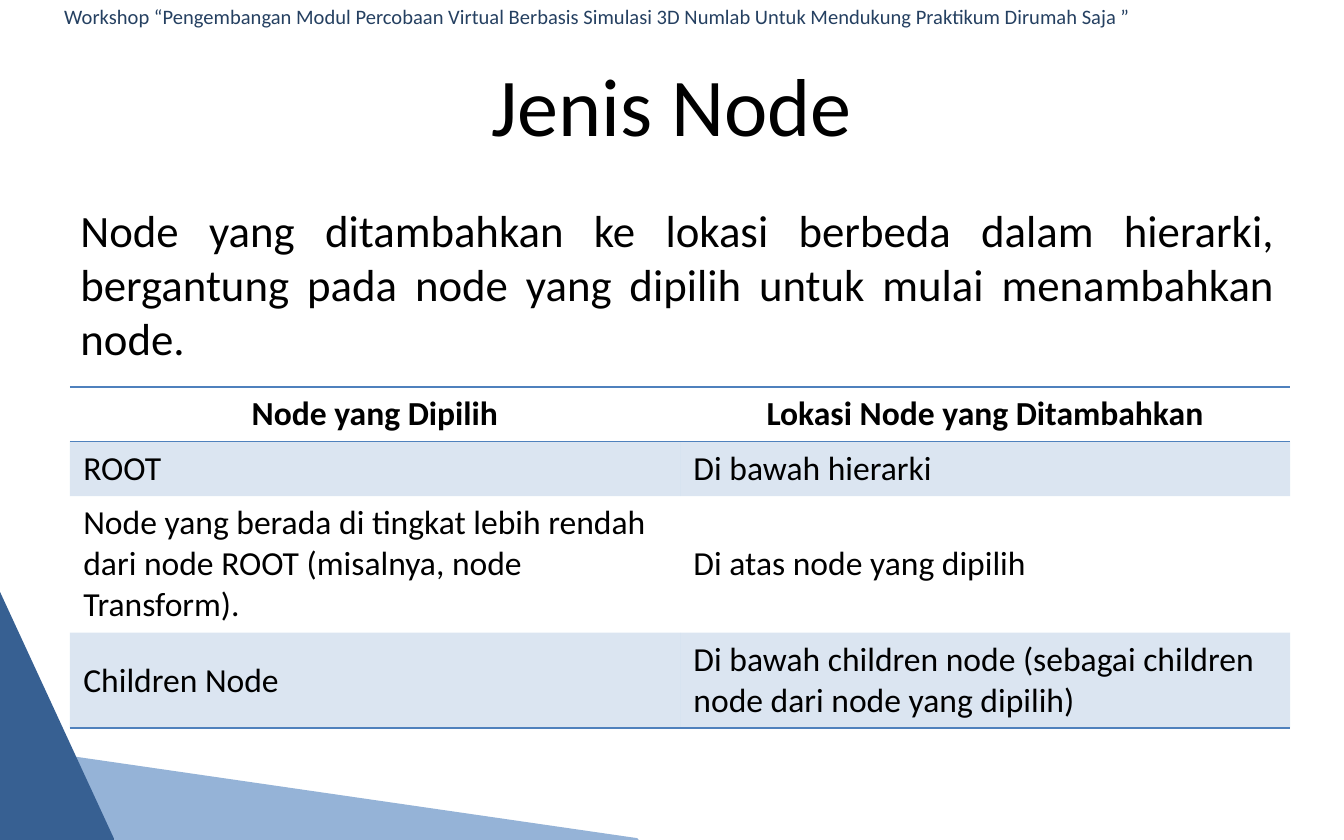
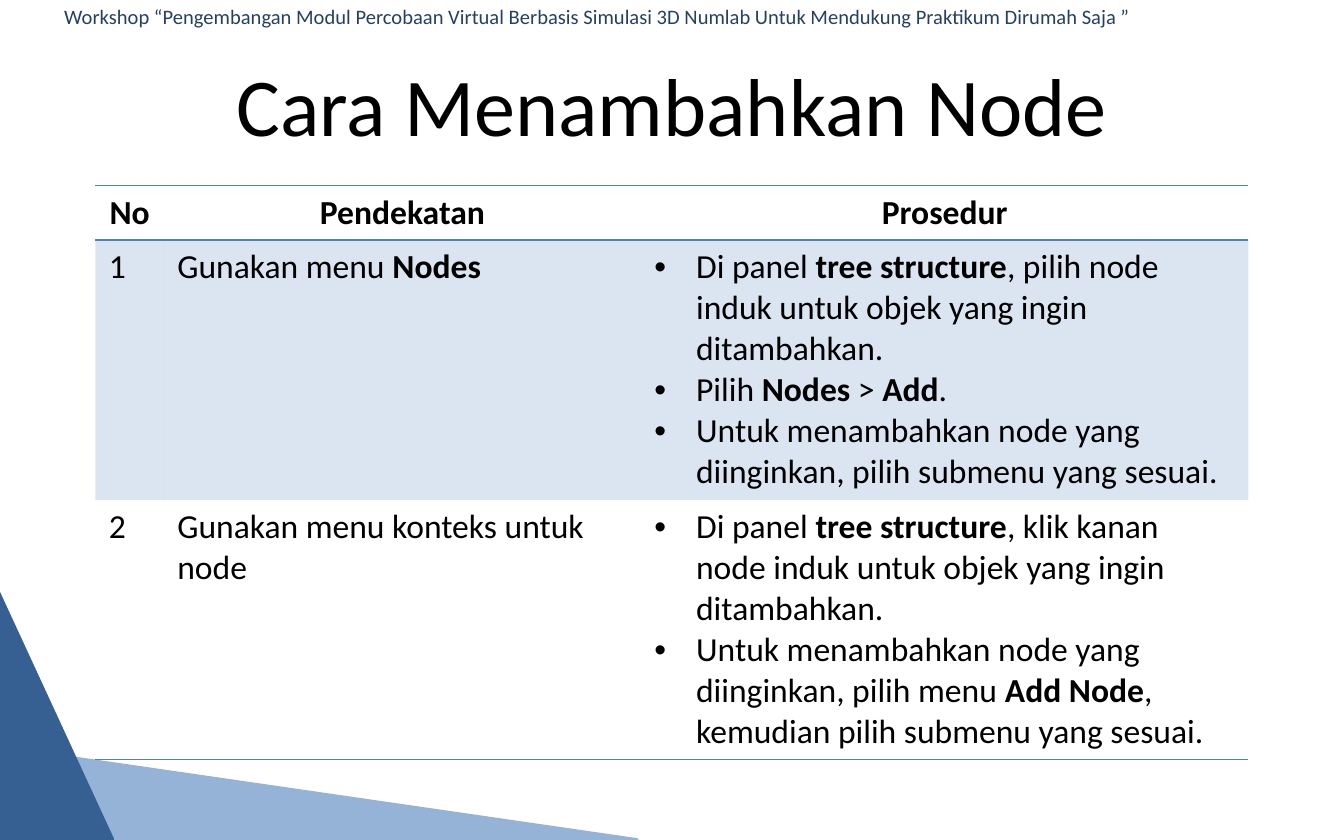
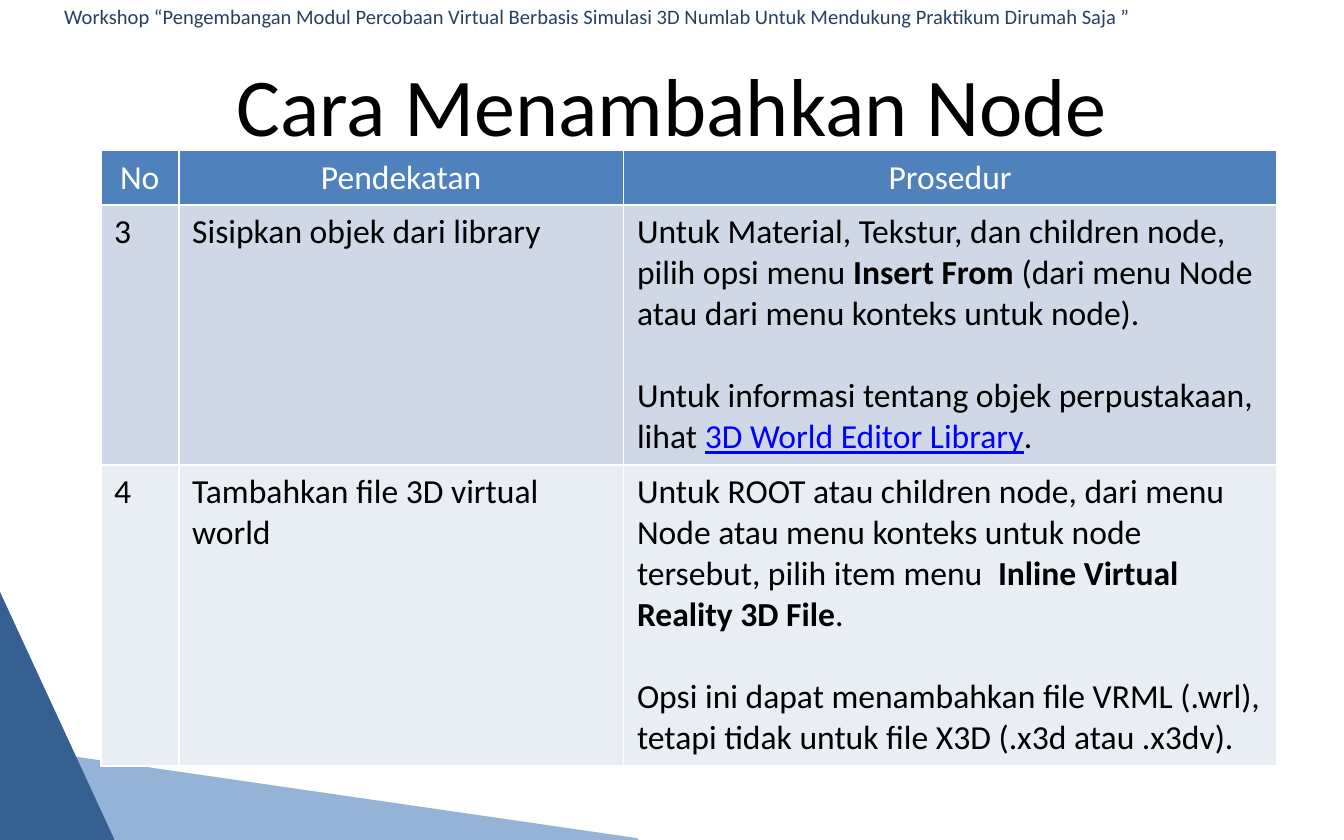
from dataclasses import dataclass, field

from lxml import etree
from pptx import Presentation
from pptx import util as u
from pptx.dml.color import RGBColor
from pptx.enum import shapes, text
from pptx.oxml import ns

GRID = u.Inches(0.25)
COLUMNS, ROWS = 40, 25
FONT = "Calibri"
BLACK = RGBColor(0x00, 0x00, 0x00)
WHITE = RGBColor(0xFF, 0xFF, 0xFF)
NAVY = RGBColor(0x25, 0x40, 0x61)
DARK_BLUE = RGBColor(0x37, 0x60, 0x92)
LIGHT_BLUE = RGBColor(0x95, 0xB3, 0xD7)
ACCENT = RGBColor(0x4F, 0x81, 0xBD)
BAND_DARK = RGBColor(0xD0, 0xD8, 0xE8)
BAND_LIGHT = RGBColor(0xE9, 0xED, 0xF4)
LINK_BLUE = RGBColor(0x00, 0x00, 0xFF)

LEFT, CENTER, JUSTIFY = (
    text.PP_ALIGN.LEFT, text.PP_ALIGN.CENTER, text.PP_ALIGN.JUSTIFY)
TOP, MIDDLE = text.MSO_ANCHOR.TOP, text.MSO_ANCHOR.MIDDLE
BOLD = {"bold": True}
LINK = {"underline": True, "color": LINK_BLUE}
NO_TABLE_STYLE = "{2D5ABB26-0587-4C30-8999-92F81FD0307C}"
TABLE_SIZE = 18
LINE_HEIGHT = u.Pt(22)
CELL_PADDING = u.Inches(0.1)
WORKSHOP = ("Workshop “Pengembangan Modul Percobaan Virtual Berbasis Simulasi "
            "3D Numlab Untuk Mendukung Praktikum Dirumah Saja ”")
APPROACH_HEADER = ["No", "Pendekatan", "Prosedur"]


@dataclass
class Paragraph:
    """Hold runs, each plain text or a (text, format) pair, and a layout."""
    runs: list
    bullet: bool = False
    layout: dict = field(default_factory=dict)


def bullet(*runs):
    """Return a bulleted paragraph."""
    return Paragraph(list(runs), bullet=True)


def spaced(*runs):
    """Return a paragraph followed by a gap of one line."""
    return Paragraph(list(runs), layout={"space_after": LINE_HEIGHT})


def cells(*lengths):
    """Turn grid cells into slide lengths."""
    return [round(length * GRID) for length in lengths]


def format_font(font, **values):
    """Set font attributes, and the colour where one is given."""
    for name, value in values.items():
        if name == "color":
            font.color.rgb = value
        else:
            setattr(font, name, value)


def add_bullet(paragraph):
    """Give a paragraph a round bullet and a hanging indent."""
    properties = paragraph._p.get_or_add_pPr()
    indent = u.Inches(0.31)
    properties.set("marL", str(indent))
    properties.set("indent", str(-indent))
    etree.SubElement(properties, ns.qn("a:buFont"), typeface="Arial")
    etree.SubElement(properties, ns.qn("a:buChar"), char="•")


def write(frame, content, alignment=LEFT, **font_format):
    """Fill a text frame with one string or a list of paragraphs."""
    content = content if isinstance(content, list) else [content]
    for index, item in enumerate(content):
        item = Paragraph([item]) if isinstance(item, str) else item
        paragraph = frame.add_paragraph() if index else frame.paragraphs[0]
        paragraph.alignment = alignment
        for name, value in item.layout.items():
            setattr(paragraph, name, value)
        if item.bullet:
            add_bullet(paragraph)
        for piece in item.runs:
            words, look = (piece, {}) if isinstance(piece, str) else piece
            run = paragraph.add_run()
            run.text = words
            format_font(run.font, **{"name": FONT, **font_format, **look})


def add_text(slide, place, content, size, color=BLACK, alignment=LEFT, anchor=TOP):
    """Add a wrapping text box."""
    frame = slide.shapes.add_textbox(*cells(*place)).text_frame
    frame.word_wrap = True
    frame.vertical_anchor = anchor
    write(frame, content, alignment, size=u.Pt(size), color=color)


def add_triangle(slide, place, apex, color, rotation=0):
    """Add a corner triangle with its apex at a share of its width."""
    shape = slide.shapes.add_shape(
        shapes.MSO_SHAPE.ISOSCELES_TRIANGLE, *cells(*place))
    shape.adjustments[0] = apex
    shape.rotation = rotation
    shape.shadow.inherit = False
    shape.fill.solid()
    shape.fill.fore_color.rgb = color
    shape.line.color.rgb = color
    shape.line.width = u.Pt(2)


def add_slide(presentation, title):
    """Add a slide with the corner triangles, workshop line and title."""
    slide = presentation.slides.add_slide(presentation.slide_layouts[6])
    add_triangle(slide, (-0.08, 22.24, 19.04, 2.76), 0, LIGHT_BLUE)
    add_triangle(slide, (-2.04, 19.6, 7.36, 3.4), 1, DARK_BLUE, rotation=90)
    add_text(slide, (1.52, -0.08, 34.92, 1.16), WORKSHOP, 11, NAVY)
    add_text(slide, (2, 1, 36, 4.16), title, 44, alignment=CENTER, anchor=MIDDLE)
    return slide


def add_borders(cell, sides, color):
    """Draw one-point borders on the given sides of a cell."""
    properties = cell._tc.get_or_add_tcPr()
    for side in sides:
        line = etree.SubElement(
            properties, ns.qn(f"a:ln{side}"), w=str(u.Pt(1)))
        fill = etree.SubElement(line, ns.qn("a:solidFill"))
        etree.SubElement(fill, ns.qn("a:srgbClr"), val=str(color))


def fill_cell(cell, color, opacity=100):
    """Fill a cell, or leave it clear when there is no colour."""
    if color is None:
        cell.fill.background()
        return
    cell.fill.solid()
    cell.fill.fore_color.rgb = color
    if opacity < 100:
        tint = cell._tc.tcPr.find(ns.qn("a:solidFill")).find(ns.qn("a:srgbClr"))
        etree.SubElement(tint, ns.qn("a:alpha"), val=str(opacity * 1000))


def style_ruled(cell, row, last_row):
    """Rule the header and table end, and tint every other row."""
    sides = "TB" if row == 0 else "B" if row == last_row else ""
    add_borders(cell, sides, ACCENT)
    fill_cell(cell, ACCENT if row % 2 else None, opacity=20)
    return {"bold": row == 0, "color": BLACK}


def style_grid(cell, row, last_row):
    """Give a cell white borders and a solid header or band colour."""
    add_borders(cell, "LRTB", WHITE)
    fill_cell(cell, (BAND_DARK if row % 2 else BAND_LIGHT) if row else ACCENT)
    return {"color": BLACK if row else WHITE}


def add_table(slide, corner, widths, line_counts, rows, style, anchor=TOP):
    """Add a table whose row heights follow from their lines of text."""
    heights = [count * LINE_HEIGHT + CELL_PADDING for count in line_counts]
    frame = slide.shapes.add_table(
        len(rows), len(widths), *cells(*corner, sum(widths)), sum(heights))
    table = frame.table
    table.first_row = table.horz_banding = False
    table._tbl.tblPr.find(ns.qn("a:tableStyleId")).text = NO_TABLE_STYLE
    for column, width in zip(table.columns, cells(*widths)):
        column.width = width
    for index, (contents, height) in enumerate(zip(rows, heights)):
        table.rows[index].height = height
        for cell, content in zip(table.rows[index].cells, contents):
            cell.vertical_anchor = anchor
            look = style(cell, index, len(rows) - 1)
            write(cell.text_frame, content, LEFT if index else CENTER,
                  size=u.Pt(TABLE_SIZE), **look)


def add_node_types(presentation):
    """Add the slide on where each kind of node is placed."""
    slide = add_slide(presentation, "Jenis Node")
    add_text(slide, (2, 5.84, 36.32, 5),
             "Node yang ditambahkan ke lokasi berbeda dalam hierarki, bergantung "
             "pada node yang dipilih untuk mulai menambahkan node.",
             24, alignment=JUSTIFY)
    add_table(slide, (2.08, 11.52), [18.16] * 2, [1, 1, 3, 2], [
        ["Node yang Dipilih", "Lokasi Node yang Ditambahkan"],
        ["ROOT", "Di bawah hierarki"],
        ["Node yang berada di tingkat lebih rendah dari node ROOT "
         "(misalnya, node Transform).", "Di atas node yang dipilih"],
        ["Children Node",
         "Di bawah children node (sebagai children node dari node yang dipilih)"],
    ], style_ruled, MIDDLE)


def add_menu_approaches(presentation):
    """Add the slide on adding nodes through menus."""
    slide = add_slide(presentation, "Cara Menambahkan Node")
    add_table(slide, (2.84, 5.52), [2.04, 14.2, 18.08], [1, 6, 6], [
        APPROACH_HEADER,
        ["1", Paragraph(["Gunakan menu ", ("Nodes", BOLD)]), [
            bullet("Di panel ", ("tree structure", BOLD),
                   ", pilih node induk untuk objek yang ingin ditambahkan."),
            bullet("Pilih ", ("Nodes ", BOLD), "> ", ("Add", BOLD), "."),
            bullet("Untuk menambahkan node yang diinginkan, pilih submenu "
                   "yang sesuai.")]],
        ["2", "Gunakan menu konteks untuk node", [
            bullet("Di panel ", ("tree structure", BOLD),
                   ", klik kanan node induk untuk objek yang ingin ditambahkan."),
            bullet("Untuk menambahkan node yang diinginkan, pilih menu ",
                   ("Add Node", BOLD), ", kemudian pilih submenu yang sesuai.")]],
    ], style_ruled)


def add_file_approaches(presentation):
    """Add the slide on adding nodes from a library or file."""
    slide = add_slide(presentation, "Cara Menambahkan Node")
    add_table(slide, (3, 4.48), [2.32, 13.24, 19.44], [1, 6, 7], [
        APPROACH_HEADER,
        ["3", "Sisipkan objek dari library", [
            spaced("Untuk Material, Tekstur, dan children node, pilih opsi menu ",
                   ("Insert From", BOLD),
                   " (dari menu Node atau dari menu konteks untuk node)."),
            Paragraph(["Untuk informasi tentang objek perpustakaan, lihat ",
                       ("3D World Editor Library", LINK), "."])]],
        ["4", "Tambahkan file 3D virtual world", [
            spaced("Untuk ROOT atau children node, dari menu Node atau menu "
                   "konteks untuk node tersebut, pilih item menu  ",
                   ("Inline Virtual Reality 3D File", BOLD), "."),
            "Opsi ini dapat menambahkan file VRML (.wrl), tetapi tidak untuk "
            "file X3D (.x3d atau .x3dv)."]],
    ], style_grid)


def main():
    """Build and save the presentation."""
    presentation = Presentation()
    presentation.slide_width, presentation.slide_height = cells(COLUMNS, ROWS)
    add_node_types(presentation)
    add_menu_approaches(presentation)
    add_file_approaches(presentation)
    presentation.save("out.pptx")


if __name__ == "__main__":
    main()
